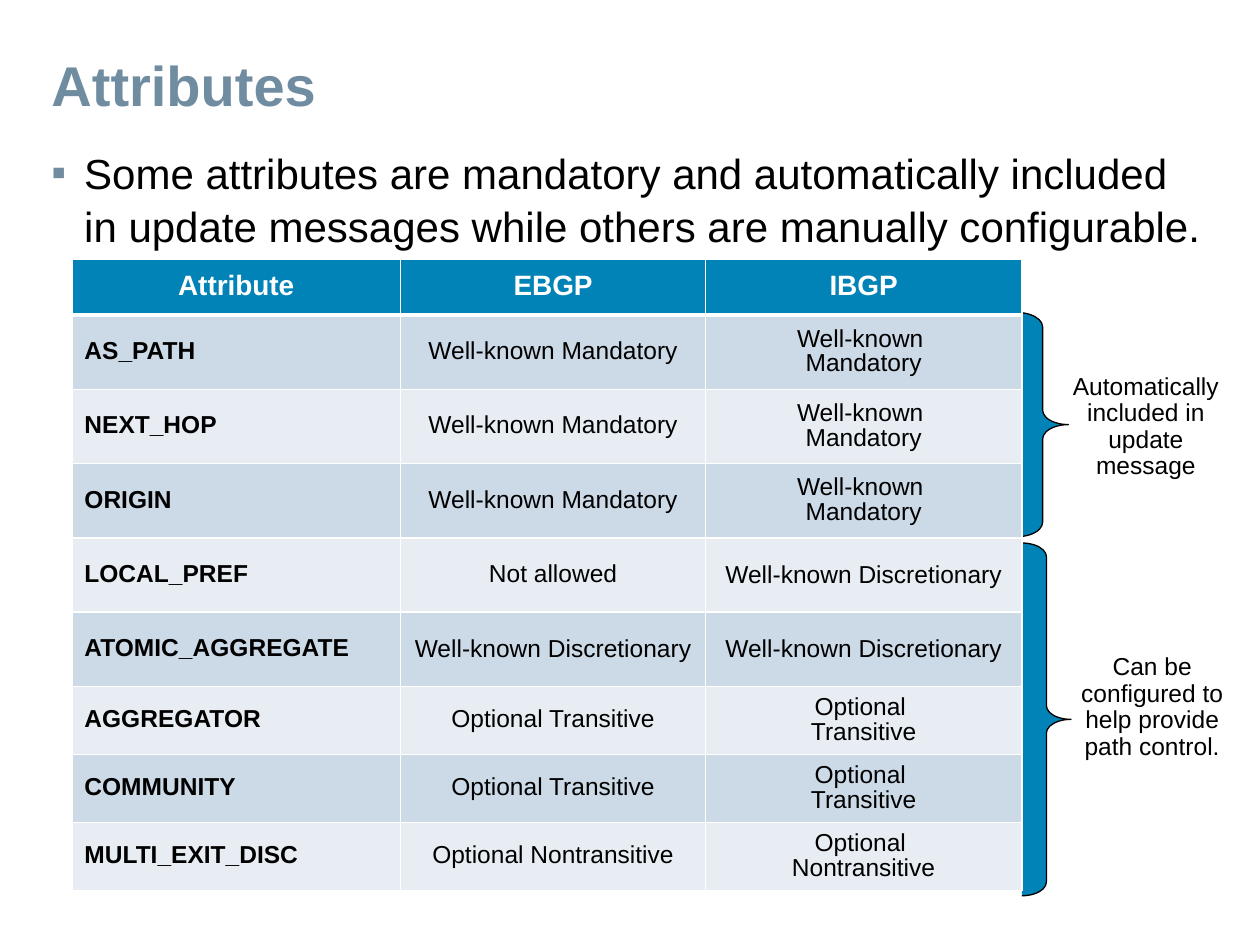
from dataclasses import dataclass

from lxml.etree import SubElement
from pptx import Presentation
from pptx.dml.color import RGBColor
from pptx.enum.shapes import MSO_SHAPE
from pptx.enum.text import MSO_ANCHOR, PP_ALIGN
from pptx.oxml import parse_xml
from pptx.oxml.ns import nsdecls, qn
from pptx.util import Inches, Pt


@dataclass(frozen=True)
class Theme:
    font: str = "Arial"
    slate: str = "708CA1"
    blue: str = "0183B7"
    black: str = "000000"
    white: str = "FFFFFF"
    bands: tuple = ("CCD9E6", "E7EDF3")
    title: int = 32
    body: int = 24
    header: int = 16
    label: int = 14
    tight: float = 0.9


THEME = Theme()

COLUMN_WIDTHS = (2.61, 2.42, 2.51)
ROW_HEIGHTS = (0.44,) + (0.59,) * 5 + (0.54,) * 3
MANDATORY = ("Well-known Mandatory", "Well-known \nMandatory")
TRANSITIVE = ("Optional Transitive", "Optional \nTransitive")
DISCRETIONARY = "Well-known Discretionary"
ROWS = (
    ("Attribute", "EBGP", "IBGP"),
    ("AS_PATH", *MANDATORY),
    ("NEXT_HOP", *MANDATORY),
    ("ORIGIN", *MANDATORY),
    ("LOCAL_PREF", "Not allowed", DISCRETIONARY),
    ("ATOMIC_AGGREGATE", DISCRETIONARY, DISCRETIONARY),
    ("AGGREGATOR", *TRANSITIVE),
    ("COMMUNITY", *TRANSITIVE),
    ("MULTI_EXIT_DISC", "Optional Nontransitive", "Optional \nNontransitive"),
)


def rgb(value):
    return RGBColor.from_string(value)


def write(frame, text, size, color=THEME.black, bold=False,
          align=PP_ALIGN.LEFT, spacing=THEME.tight):
    for index, line in enumerate(text.split("\n")):
        paragraph = frame.add_paragraph() if index else frame.paragraphs[0]
        paragraph.alignment = align
        paragraph.line_spacing = spacing
        run = paragraph.add_run()
        run.text = line
        run.font.name = THEME.font
        run.font.size = Pt(size)
        run.font.bold = bold
        run.font.color.rgb = rgb(color)


def add_text(slide, box, text, size, anchor=MSO_ANCHOR.MIDDLE, **style):
    frame = slide.shapes.add_textbox(*map(Inches, box)).text_frame
    frame.word_wrap = True
    frame.vertical_anchor = anchor
    write(frame, text, size, **style)
    return frame


def add_bullet(slide, box, text):
    frame = add_text(slide, box, text, THEME.body, MSO_ANCHOR.TOP, spacing=1.05)
    paragraph = frame.paragraphs[0]
    paragraph.space_after = Pt(6)
    properties = paragraph._p.get_or_add_pPr()
    properties.set("marL", str(Inches(0.26)))
    properties.set("indent", str(-Inches(0.26)))
    color = SubElement(properties, qn("a:buClr"))
    SubElement(color, qn("a:srgbClr"), val=THEME.slate)
    SubElement(properties, qn("a:buFont"), typeface=THEME.font)
    SubElement(properties, qn("a:buChar"), char="▪")


def set_borders(cell, top, bottom):
    properties = cell._tc.get_or_add_tcPr()
    widths = (("L", 1), ("R", 1), ("T", top), ("B", bottom))
    for index, (side, width) in enumerate(widths):
        properties.insert(index, parse_xml(
            f'<a:ln{side} {nsdecls("a")} w="{Pt(width)}"><a:solidFill>'
            f'<a:srgbClr val="{THEME.white}"/></a:solidFill></a:ln{side}>'))


def add_attribute_table(slide, left, top):
    box = (left, top, sum(COLUMN_WIDTHS), sum(ROW_HEIGHTS))
    table = slide.shapes.add_table(
        len(ROWS), len(COLUMN_WIDTHS), *map(Inches, box)).table
    for column, width in zip(table.columns, COLUMN_WIDTHS):
        column.width = Inches(width)
    for r, (texts, height) in enumerate(zip(ROWS, ROW_HEIGHTS)):
        table.rows[r].height = Inches(height)
        is_header = r == 0
        for c, text in enumerate(texts):
            cell = table.cell(r, c)
            cell.vertical_anchor = MSO_ANCHOR.MIDDLE
            cell.fill.solid()
            cell.fill.fore_color.rgb = rgb(
                THEME.blue if is_header else THEME.bands[(r - 1) % 2])
            set_borders(cell, 3 if r == 1 else 1, 3 if is_header else 1)
            write(cell.text_frame, text,
                  THEME.header if is_header else THEME.label,
                  THEME.white if is_header else THEME.black,
                  bold=is_header or c == 0,
                  align=PP_ALIGN.CENTER if is_header or c else PP_ALIGN.LEFT,
                  spacing=1.0 if text == DISCRETIONARY else THEME.tight)


def add_brace(slide, box):
    brace = slide.shapes.add_shape(MSO_SHAPE.RIGHT_BRACE, *map(Inches, box))
    brace.adjustments[0] = 0.28
    brace.adjustments[1] = 0.5
    brace.shadow.inherit = False
    brace.fill.solid()
    brace.fill.fore_color.rgb = rgb(THEME.blue)
    brace.line.color.rgb = rgb(THEME.black)
    brace.line.width = Pt(0.75)


def add_attributes_slide(presentation):
    slide = presentation.slides.add_slide(presentation.slide_layouts[6])
    for brace_box in ((8.11, 4.31, 0.39, 2.8), (8.07, 2.48, 0.41, 1.78)):
        add_brace(slide, brace_box)
    add_text(slide, (0.31, 0.4, 9.32, 0.6), "Attributes", THEME.title,
             color=THEME.slate, bold=True)
    add_bullet(slide, (0.31, 1.1, 9.32, 0.96),
               "Some attributes are mandatory and automatically included "
               "in update messages while others are manually configurable.")
    add_attribute_table(slide, 0.57, 2.06)
    notes = (
        ((8.33, 2.5, 1.53, 1.78), "Automatically included in update message"),
        ((8.43, 5.08, 1.43, 1.07),
         "Can be configured to help provide path control."),
    )
    for box, text in notes:
        add_text(slide, box, text, THEME.label, align=PP_ALIGN.CENTER)


def main():
    presentation = Presentation()
    presentation.slide_width = Inches(10)
    presentation.slide_height = Inches(7.5)
    add_attributes_slide(presentation)
    presentation.save("out.pptx")


if __name__ == "__main__":
    main()
